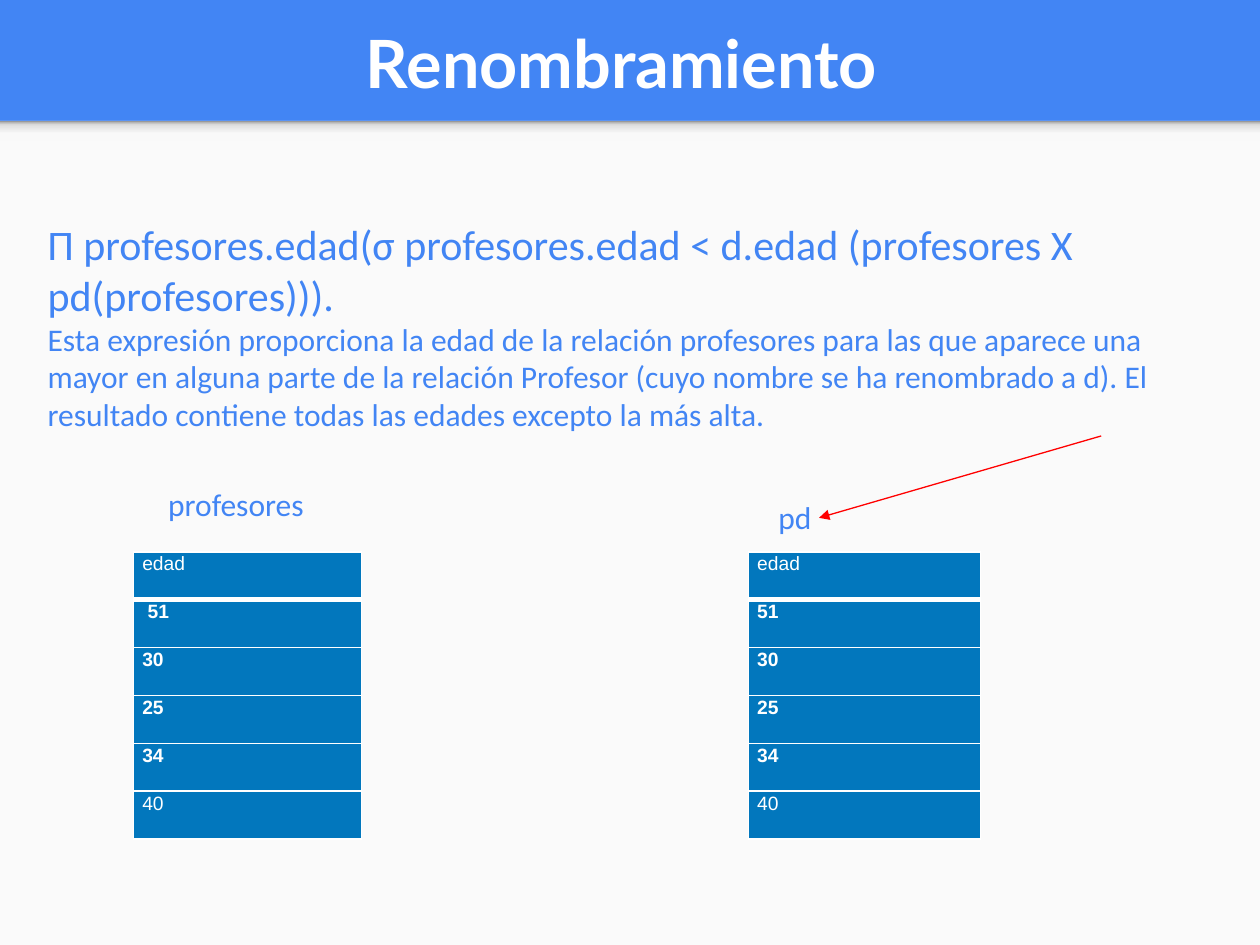
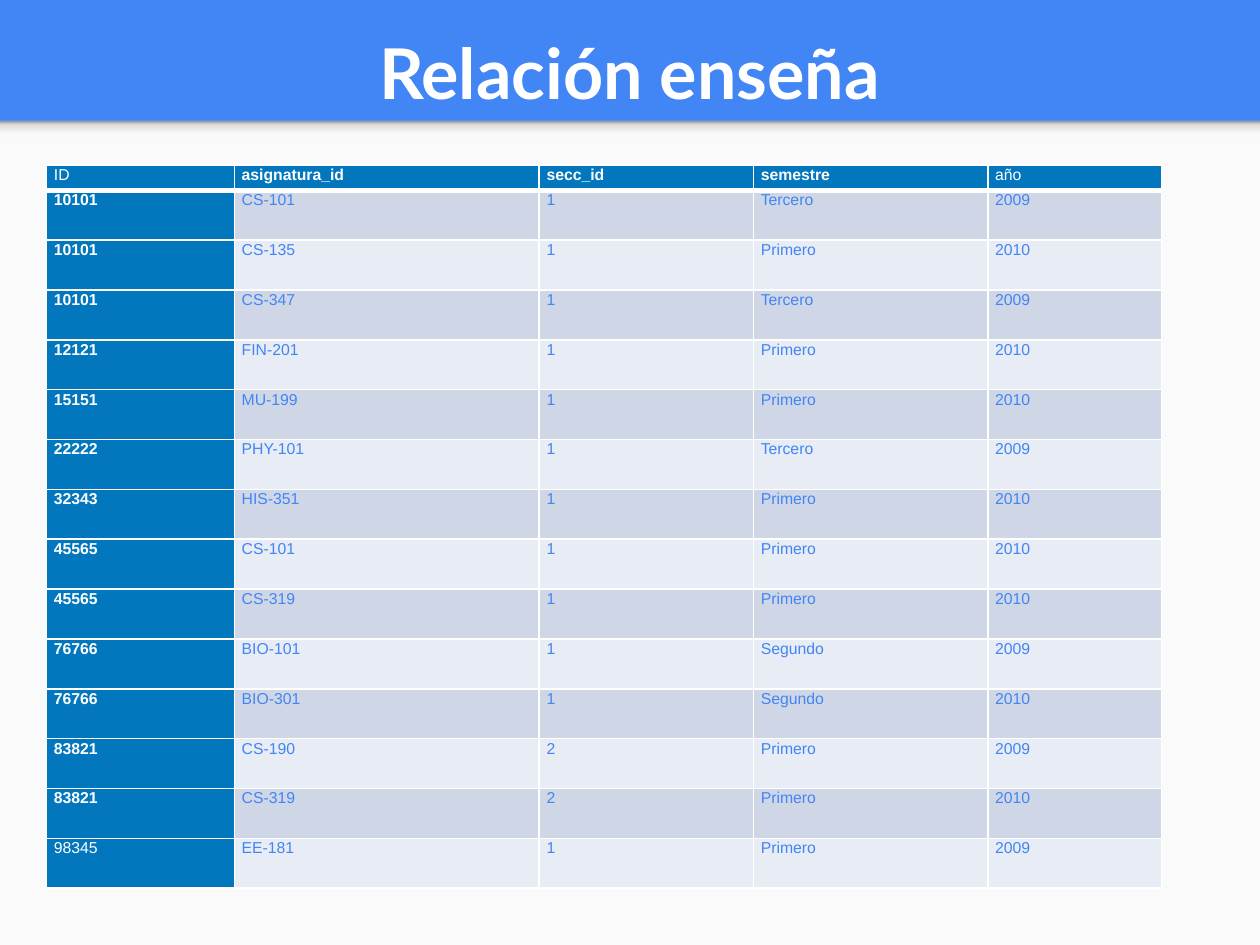
import copy
import dataclasses

import lxml.etree
import pptx
import pptx.dml.color
import pptx.enum.shapes
import pptx.enum.text
import pptx.oxml.ns
import pptx.util

Pt = pptx.util.Pt
qn = pptx.oxml.ns.qn
ANCHOR = pptx.enum.text.MSO_ANCHOR
ALIGN = pptx.enum.text.PP_ALIGN


@dataclasses.dataclass(frozen=True)
class Theme:
    blue: str = "4285F4"
    paper: str = "FAFAFA"
    white: str = "FFFFFF"
    red: str = "FF0000"
    key_fill: str = "0277BD"
    bands: tuple = ("E8ECF4", "CFD7E7")
    shadow_stops: tuple = ((0, "F9F9F9"), (0.36, "F9F9F9"), (0.8, "DEDEDE"), (1, "999999"))
    title_font: str = "Lato"
    body_font: str = "Calibri"
    table_font: str = "Arial"
    formula_size: int = 24
    body_size: int = 18
    line_spacing: float = 1.07
    rule: int = 1
    heavy_rule: int = 3
    width: int = 720
    height: int = 540
    band_height: float = 69.12


def rgb(colour):
    return pptx.dml.color.RGBColor.from_string(colour)


class Deck:
    """Builds slides in one theme, one method for each kind of element."""

    def __init__(self, theme):
        self.theme = theme
        self.presentation = pptx.Presentation()
        self.presentation.slide_width = Pt(theme.width)
        self.presentation.slide_height = Pt(theme.height)
        background = self.presentation.slide_master.background.fill
        background.solid()
        background.fore_color.rgb = rgb(theme.blue)
        self.slide = None

    def add_slide(self, title, size, box):
        theme = self.theme
        self.slide = self.presentation.slides.add_slide(self.presentation.slide_layouts[6])
        paper = self.rectangle(theme.band_height, theme.height - theme.band_height)
        paper.fill.solid()
        paper.fill.fore_color.rgb = rgb(theme.paper)
        self.shade(self.rectangle(theme.band_height, 11.52))
        self.text(box, [(title, size)], font=theme.title_font, colour=theme.white,
                  bold=True, align=ALIGN.CENTER, anchor=ANCHOR.BOTTOM)

    def rectangle(self, top, height):
        shape = self.slide.shapes.add_shape(
            pptx.enum.shapes.MSO_SHAPE.RECTANGLE, 0, Pt(top), Pt(self.theme.width), Pt(height))
        shape.shadow.inherit = False
        shape.line.fill.background()
        return shape

    def shade(self, shape):
        shape.fill.gradient()
        shape.fill.gradient_angle = 90
        stop_list = next(shape.element.iter(qn("a:gsLst")))
        while len(stop_list) < len(self.theme.shadow_stops):
            stop_list.append(copy.deepcopy(stop_list[0]))
        for stop, (position, colour) in zip(shape.fill.gradient_stops, self.theme.shadow_stops):
            stop.position = position
            stop.color.rgb = rgb(colour)

    def style(self, paragraph, font, size, colour, bold=False):
        paragraph.font.name = font
        paragraph.font.size = Pt(size)
        paragraph.font.color.rgb = rgb(colour)
        paragraph.font.bold = bold

    def text(self, box, lines, font=None, colour=None, bold=False, align=ALIGN.LEFT,
             anchor=ANCHOR.TOP, bottom_inset=3.6, spacing=1.0):
        frame = self.slide.shapes.add_textbox(*map(Pt, box)).text_frame
        frame.word_wrap = True
        frame.vertical_anchor = anchor
        frame.margin_bottom = Pt(bottom_inset)
        for index, (line, size) in enumerate(lines):
            paragraph = frame.add_paragraph() if index else frame.paragraphs[0]
            paragraph.text = line
            paragraph.alignment = align
            paragraph.line_spacing = spacing
            self.style(paragraph, font or self.theme.body_font, size,
                       colour or self.theme.blue, bold)

    def border(self, cell, side, width):
        properties = cell._tc.get_or_add_tcPr()
        line = lxml.etree.SubElement(properties, qn(f"a:ln{side}"), w=str(Pt(width)))
        fill = lxml.etree.SubElement(line, qn("a:solidFill"))
        lxml.etree.SubElement(fill, qn("a:srgbClr"), val=self.theme.white)

    def table(self, left, top, column_widths, row_heights, rows, size, inset):
        table = self.slide.shapes.add_table(
            len(rows), len(column_widths), Pt(left), Pt(top),
            Pt(sum(column_widths)), Pt(sum(row_heights))).table
        table.first_row = table.horz_banding = False
        for column, width in zip(table.columns, column_widths):
            column.width = Pt(width)
        for row, height in zip(table.rows, row_heights):
            row.height = Pt(height)
        corners = {(0, 0), (0, len(column_widths) - 1), (len(rows) - 1, 0)}
        for row_index, values in enumerate(rows):
            for column_index, value in enumerate(values):
                self.cell(table.cell(row_index, column_index), value, row_index,
                          column_index, size, inset, (row_index, column_index) in corners)

    def cell(self, cell, value, row, column, size, inset, corner):
        theme = self.theme
        is_key = row == 0 or column == 0
        heavy_side = {0: "B", 1: "T"}.get(row)
        for side in "LRTB":
            self.border(cell, side, theme.heavy_rule if side == heavy_side else theme.rule)
        cell.fill.solid()
        cell.fill.fore_color.rgb = rgb(theme.key_fill if is_key else theme.bands[row % 2])
        cell.margin_left = cell.margin_right = Pt(inset)
        cell.margin_top = cell.margin_bottom = 0
        paragraph = cell.text_frame.paragraphs[0]
        paragraph.text = value
        paragraph.line_spacing = theme.line_spacing
        self.style(paragraph, theme.table_font, size,
                   theme.white if is_key else theme.blue, is_key and not corner)

    def arrow(self, start, end):
        connector = self.slide.shapes.add_connector(
            pptx.enum.shapes.MSO_CONNECTOR.STRAIGHT, *map(Pt, start + end))
        connector.line.color.rgb = rgb(self.theme.red)
        connector.line.width = Pt(0.75)
        properties = connector.element.spPr
        lxml.etree.SubElement(properties.find(qn("a:ln")), qn("a:tailEnd"), type="triangle")
        lxml.etree.SubElement(properties, qn("a:effectLst"))


def add_renaming_slide(deck):
    theme = deck.theme
    deck.add_slide("Renombramiento", 38, (7.92, 2.16, 694.8, 59.76))
    deck.text((20.16, 120.96, 674.64, 152.64), [
        ("Π profesores.edad(σ profesores.edad < d.edad (profesores X рd(profesores))).",
         theme.formula_size),
        ("Esta expresión proporciona la edad de la relación profesores para las que aparece "
         "una mayor en alguna parte de la relación Profesor (cuyo nombre se ha renombrado a d). "
         "El resultado contiene todas las edades excepto la más alta.", theme.body_size),
    ], anchor=ANCHOR.MIDDLE, bottom_inset=25.6)
    ages = ["30", "25", "34", "40"]
    for left, width, first_age in ((76.32, 130.32, " 51"), (427.68, 132.48, "51")):
        rows = [[value] for value in ["edad", first_age] + ages]
        deck.table(left, 315.36, [width], [27.36] * len(rows), rows, size=11, inset=5)
    deck.text((84.96, 273.6, 114.48, 28.8), [(" profesores", theme.body_size)])
    deck.text((437.76, 279.36, 103.68, 30.96), [("pd", theme.body_size)],
              spacing=theme.line_spacing)
    deck.arrow((629.28, 249.12), (468, 295.92))


def add_teaching_slide(deck):
    deck.add_slide("Relación enseña", 40, (12.24, 5.04, 694.8, 63.36))
    rows = [
        ("ID", "asignatura_id", "secc_id", "semestre", "año"),
        ("10101", "CS-101", "1", "Tercero", "2009"),
        ("10101", "CS-135", "1", "Primero", "2010"),
        ("10101", "CS-347", "1", "Tercero", "2009"),
        ("12121", "FIN-201", "1", "Primero", "2010"),
        ("15151", "MU-199", "1", "Primero", "2010"),
        ("22222", "PHY-101", "1", "Tercero", "2009"),
        ("32343", "HIS-351", "1", "Primero", "2010"),
        ("45565", "CS-101", "1", "Primero", "2010"),
        ("45565", "CS-319", "1", "Primero", "2010"),
        ("76766", "BIO-101", "1", "Segundo", "2009"),
        ("76766", "BIO-301", "1", "Segundo", "2010"),
        ("83821", "CS-190", "2", "Primero", "2009"),
        ("83821", "CS-319", "2", "Primero", "2010"),
        ("98345", "EE-181", "1", "Primero", "2009"),
    ]
    deck.table(26.64, 94.32, [107.28, 174.24, 122.4, 133.92, 99.36],
               [14.4] + [28.5] * (len(rows) - 1), rows, size=9, inset=4.2)


def main():
    deck = Deck(Theme())
    add_renaming_slide(deck)
    add_teaching_slide(deck)
    deck.presentation.save("out.pptx")


if __name__ == "__main__":
    main()
